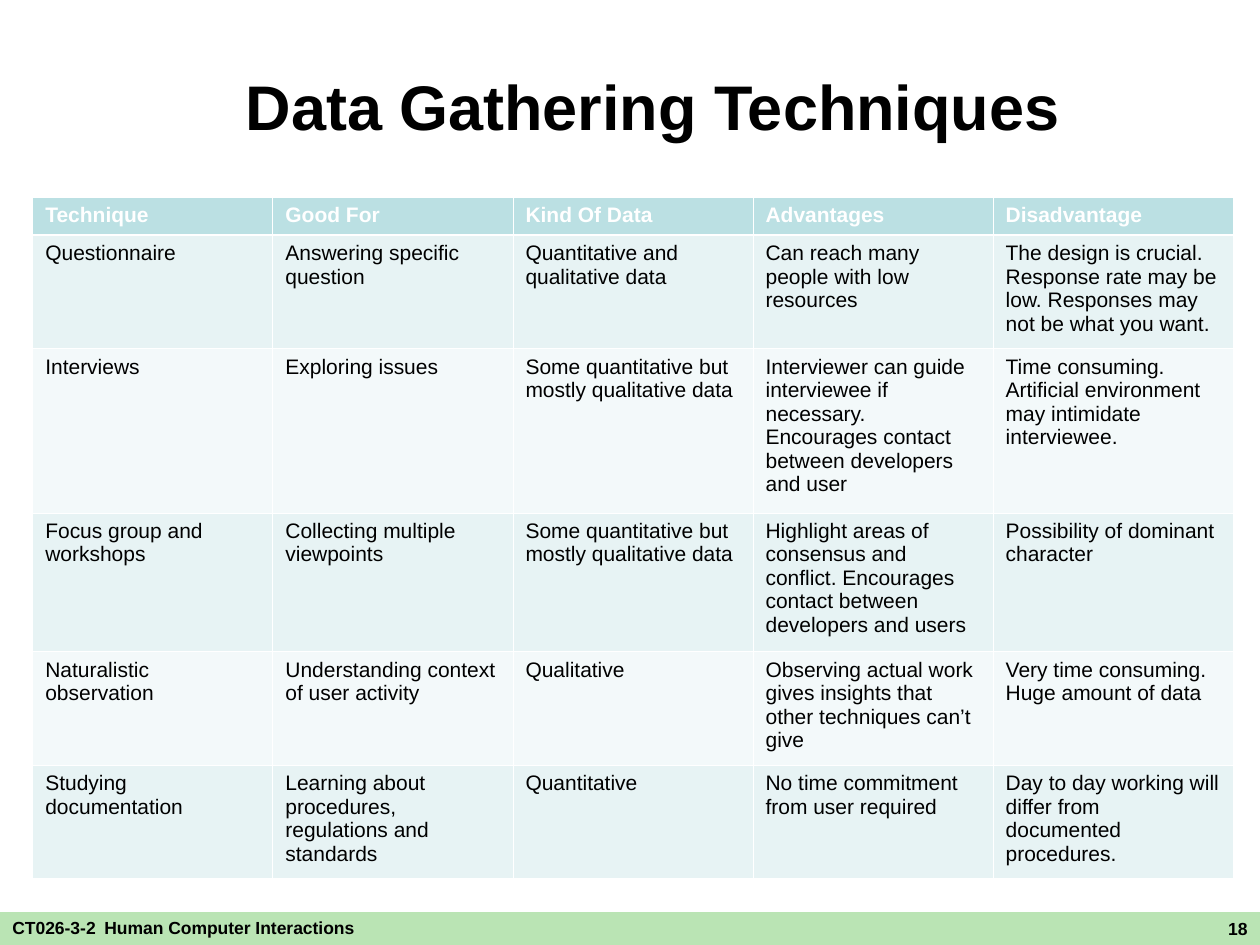
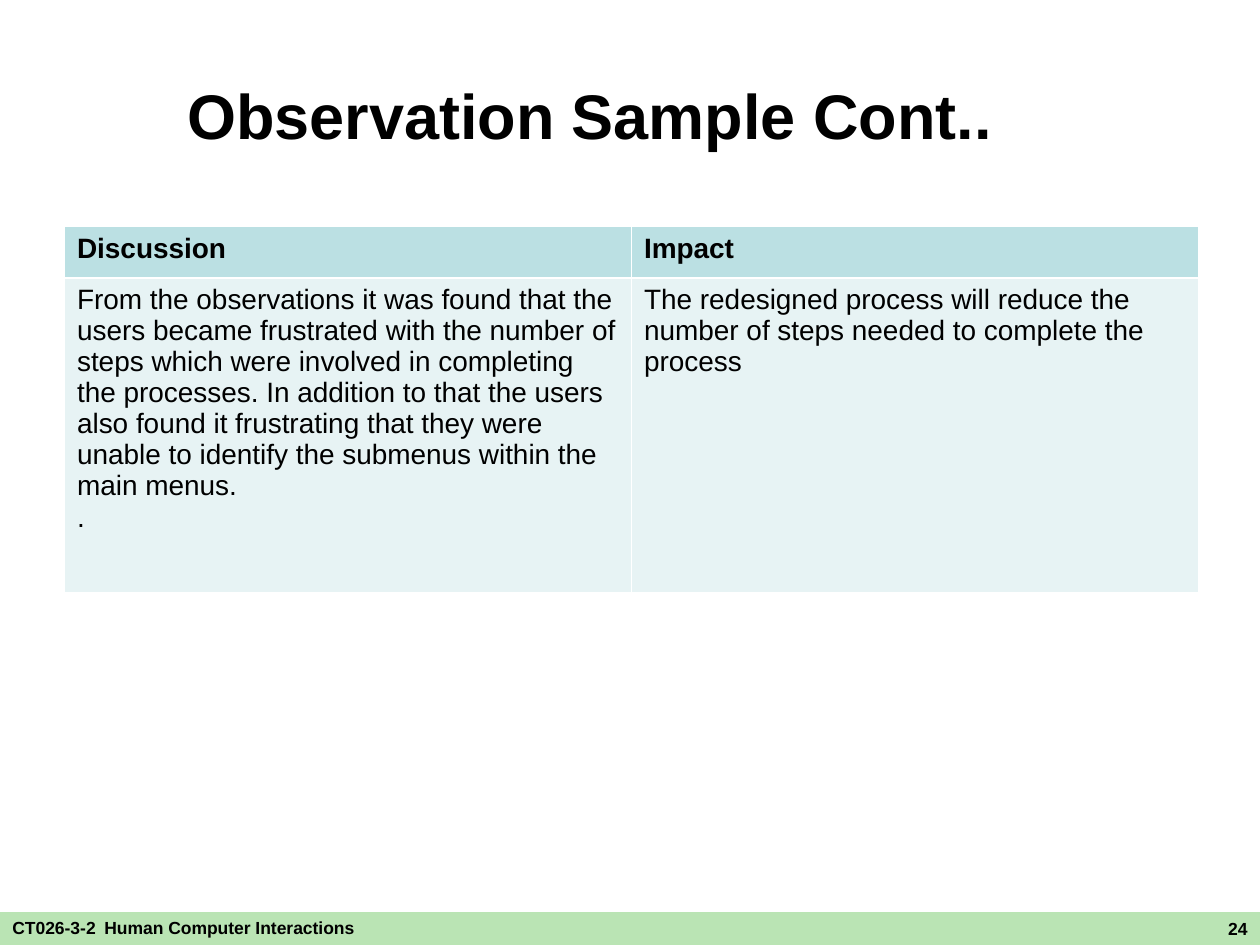
from dataclasses import dataclass

from lxml import etree
from pptx import Presentation
from pptx.dml.color import RGBColor
from pptx.enum.shapes import MSO_SHAPE
from pptx.enum.text import MSO_ANCHOR, PP_ALIGN
from pptx.oxml.ns import qn
from pptx.util import Cm, Pt

RECT = MSO_SHAPE.RECTANGLE
LEFT, CENTER, RIGHT = PP_ALIGN.LEFT, PP_ALIGN.CENTER, PP_ALIGN.RIGHT
TOP, MIDDLE = MSO_ANCHOR.TOP, MSO_ANCHOR.MIDDLE


@dataclass(frozen=True)
class Theme:
    font: str = "Arial"
    text: str = "000000"
    white: str = "FFFFFF"
    band: str = "BAE4B4"
    header: str = "BBE0E3"
    odd_row: str = "E7F3F4"
    even_row: str = "F3F9FA"
    title_size: float = 36
    footer_size: float = 10
    gap_size: float = 18
    grid_line: float = 0.45
    header_line: float = 1.47


class Deck:
    WIDTH, HEIGHT = 25.4, 19.05
    BAND_TOP = 18.39

    def __init__(self, theme):
        self.theme = theme
        self.prs = Presentation()
        self.prs.slide_width, self.prs.slide_height = Cm(self.WIDTH), Cm(self.HEIGHT)
        self.slide = None

    def style(self, r, size, color, bold):
        r.font.name, r.font.size, r.font.bold = self.theme.font, Pt(size), bold
        r.font.color.rgb = RGBColor.from_string(color)

    def add_slide(self, number):
        self.slide = self.prs.slides.add_slide(self.prs.slide_layouts[6])
        self.footer(number)

    def footer(self, number):
        t = self.theme
        sp = self.slide.shapes.add_shape(
            RECT, 0, Cm(self.BAND_TOP), Cm(self.WIDTH), Cm(self.HEIGHT - self.BAND_TOP))
        sp.shadow.inherit = False
        sp.fill.solid()
        sp.fill.fore_color.rgb = RGBColor.from_string(t.band)
        sp.line.fill.background()
        self.text([("CT026-3-2", t.footer_size, True), (" ", t.gap_size, False),
                   ("Human Computer Interactions", t.footer_size, True)],
                  0, 18.08, 9.42, 0.71)
        self.text([(str(number), t.footer_size, True)],
                  17.35, self.BAND_TOP, 8.05, 0.66, RIGHT)

    def text(self, runs, left, top, width, height, align=LEFT, anchor=TOP):
        """One line of text; runs are (text, size, bold)."""
        box = self.slide.shapes.add_textbox(Cm(left), Cm(top), Cm(width), Cm(height))
        tf = box.text_frame
        tf.word_wrap, tf.vertical_anchor = True, anchor
        p = tf.paragraphs[0]
        p.alignment = align
        for words, size, bold in runs:
            r = p.add_run()
            r.text = words
            self.style(r, size, self.theme.text, bold)

    def title(self, words, left, top):
        self.text([(words, self.theme.title_size, True)],
                  left, top, 19.56, 3.18, CENTER, MIDDLE)

    def borders(self, cell, top, bottom):
        """Draw white cell edges; the sides use the thin grid line."""
        side = self.theme.grid_line
        props = cell._tc.get_or_add_tcPr()
        for tag, width in (("lnL", side), ("lnR", side), ("lnT", top), ("lnB", bottom)):
            ln = etree.SubElement(props, qn(f"a:{tag}"), w=str(Pt(width)))
            fill = etree.SubElement(ln, qn("a:solidFill"))
            etree.SubElement(fill, qn("a:srgbClr"), val=self.theme.white)

    def table(self, rows, left, top, col_width, row_heights, size, header_color):
        t = self.theme
        n_cols = len(rows[0])
        table = self.slide.shapes.add_table(
            len(rows), n_cols, Cm(left), Cm(top),
            Cm(col_width * n_cols), Cm(sum(row_heights))).table
        for col in table.columns:
            col.width = Cm(col_width)
        for i, (row, height) in enumerate(zip(rows, row_heights)):
            table.rows[i].height = Cm(height)
            fill = t.header if i == 0 else t.odd_row if i % 2 else t.even_row
            color = header_color if i == 0 else t.text
            for j, words in enumerate(row):
                cell = table.cell(i, j)
                self.borders(cell, t.header_line if i == 1 else t.grid_line,
                             t.header_line if i == 0 else t.grid_line)
                cell.fill.solid()
                cell.fill.fore_color.rgb = RGBColor.from_string(fill)
                cell.text_frame.text = words
                for p in cell.text_frame.paragraphs:
                    for r in p.runs:
                        self.style(r, size, color, i == 0)


TECHNIQUES = [
    ("Technique", "Good For", "Kind Of Data", "Advantages", "Disadvantage"),
    ("Questionnaire", "Answering specific question",
     "Quantitative and qualitative data",
     "Can reach many people with low resources",
     "The design is crucial. Response rate may be low. "
     "Responses may not be what you want."),
    ("Interviews", "Exploring issues",
     "Some quantitative but mostly qualitative data",
     "Interviewer can guide interviewee if necessary. "
     "Encourages contact between developers and user",
     "Time consuming. Artificial environment may intimidate interviewee."),
    ("Focus group and workshops", "Collecting multiple viewpoints",
     "Some quantitative but mostly qualitative data",
     "Highlight areas of consensus and conflict. "
     "Encourages contact between developers and users",
     "Possibility of dominant character"),
    ("Naturalistic observation", "Understanding context of user activity",
     "Qualitative",
     "Observing actual work gives insights that other techniques can’t give",
     "Very time consuming. Huge amount of data"),
    ("Studying documentation",
     "Learning about procedures, regulations and standards",
     "Quantitative", "No time commitment from user required",
     "Day to day working will differ from documented procedures."),
]

OBSERVATION = [
    ("Discussion", "Impact"),
    ("From the observations it was found that the users became frustrated with "
     "the number of steps which were involved in completing the processes. "
     "In addition to that the users also found it frustrating that they were "
     "unable to identify the submenus within the main menus.\n.",
     "The redesigned process will reduce the number of steps needed to "
     "complete the process"),
]


def main():
    theme = Theme()
    deck = Deck(theme)

    deck.add_slide(18)
    deck.title("Data Gathering Techniques", 3.38, 0.53)
    deck.table(TECHNIQUES, 0.66, 3.98, 4.84, [0.76, 2.28, 3.31, 2.8, 2.28, 2.28],
               12, theme.white)

    deck.add_slide(24)
    deck.title("Observation Sample Cont..", 2.11, 0.71)
    deck.table(OBSERVATION, 1.3, 4.57, 11.43, [1.03, 6.35], 16, theme.text)

    deck.prs.save("out.pptx")


if __name__ == "__main__":
    main()
